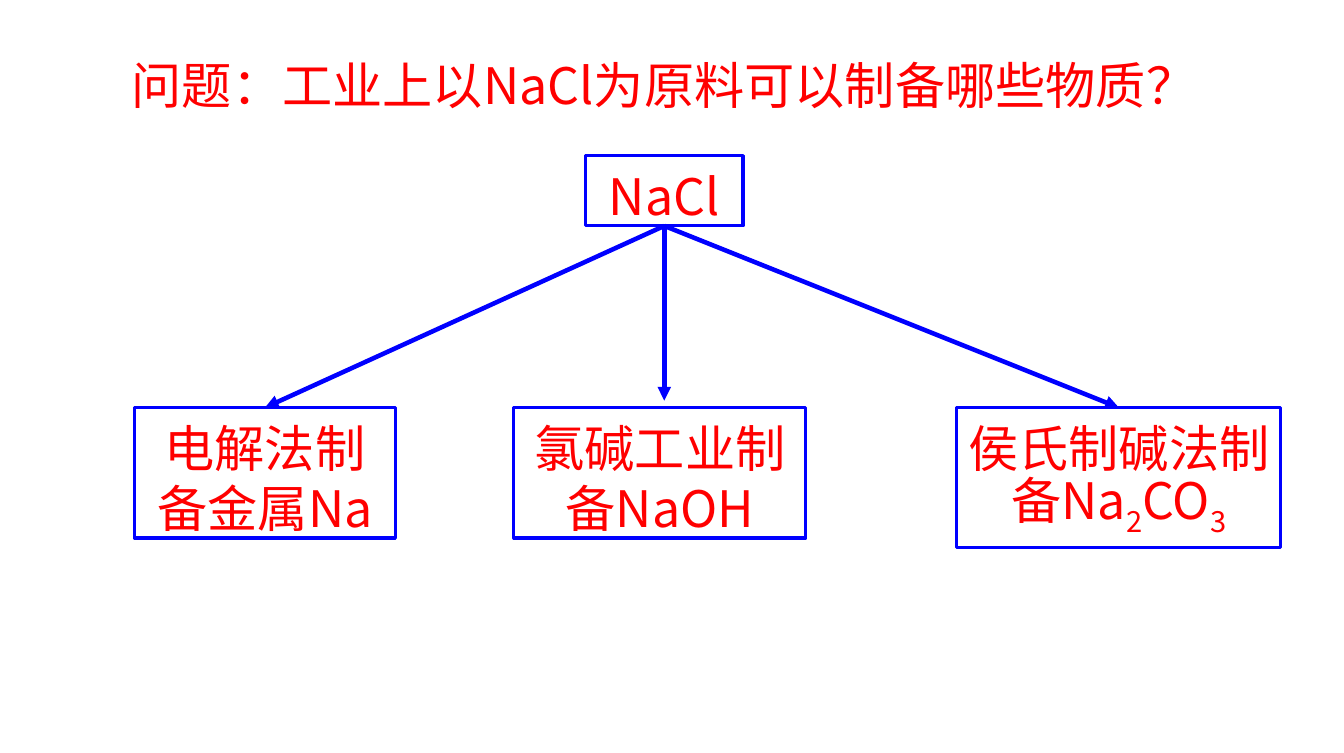
from pptx import Presentation
from pptx.dml.color import RGBColor
from pptx.enum.shapes import MSO_CONNECTOR as Line, MSO_SHAPE as Shape
from pptx.enum.text import MSO_ANCHOR as Anchor, MSO_AUTO_SIZE as Fit, PP_ALIGN as Align
from pptx.oxml.ns import qn
from pptx.util import Pt
from lxml.etree import SubElement

RED = RGBColor(0xFF, 0x00, 0x00)
BLUE = RGBColor(0x00, 0x00, 0xFF)
FONT = "Noto Sans CJK SC"

ROOT = (420, 111.6, 113, 50.4)
GOALS = [
    (["电解法制备金属Na"], (96.5, 292.3, 187.2, 93.6)),
    (["氯碱工业制备NaOH"], (368.6, 292.3, 209.5, 93.6)),
    (["侯氏制碱法制备Na", "2", "CO", "3"], (686.2, 292.3, 232.6, 100.1)),
]


def write(shape, parts):
    frame = shape.text_frame
    frame.word_wrap = True
    frame.auto_size = Fit.NONE
    frame.vertical_anchor = Anchor.TOP
    frame.margin_left = frame.margin_right = Pt(7.2)
    frame.margin_top, frame.margin_bottom = Pt(7), Pt(0)
    para = frame.paragraphs[0]
    para.alignment = Align.CENTER
    para.line_spacing = Pt(43.2)
    for part in parts:
        run = para.add_run()
        run.text = part
        font = run.font
        font.size, font.name = Pt(36), FONT
        font.color.rgb = RED
        props = run._r.get_or_add_rPr()
        SubElement(props, qn("a:ea")).set("typeface", FONT)
        if part.isdigit():
            props.set("baseline", "-25000")


def add_title(slide, box):
    title = slide.shapes.title
    title.left, title.top, title.width, title.height = map(Pt, box)
    write(title, ["问题：工业上以NaCl为原料可以制备哪些物质？"])


def add_box(slide, parts, box):
    rect = slide.shapes.add_shape(Shape.RECTANGLE, *map(Pt, box))
    rect.shadow.inherit = False
    rect.fill.background()
    rect.line.color.rgb = BLUE
    rect.line.width = Pt(2.25)
    write(rect, parts)


def add_arrow(slide, start, end):
    arrow = slide.shapes.add_connector(Line.STRAIGHT, *map(Pt, start + end))
    arrow.line.color.rgb = BLUE
    arrow.line.width = Pt(3.25)
    SubElement(arrow.line._get_or_add_ln(), qn("a:tailEnd")).set("type", "triangle")
    SubElement(arrow._element.spPr, qn("a:effectLst"))


def add_tree(slide, root, goals):
    add_box(slide, ["NaCl"], root)
    for parts, box in goals:
        add_box(slide, parts, box)
    left, top, width, height = root
    start = (left + width / 2, top + height)
    ends = [(x + w / 2, y) for _, (x, y, w, _) in goals]
    ends[1] = (start[0], ends[1][1] - 5)
    for end in ends:
        add_arrow(slide, start, end)


def main():
    deck = Presentation()
    deck.slide_width, deck.slide_height = Pt(964), Pt(540)
    slide = deck.slides.add_slide(deck.slide_layouts[5])
    add_title(slide, (56.9, 31.7, 838.8, 50.4))
    add_tree(slide, ROOT, GOALS)
    deck.save("out.pptx")


if __name__ == "__main__":
    main()
